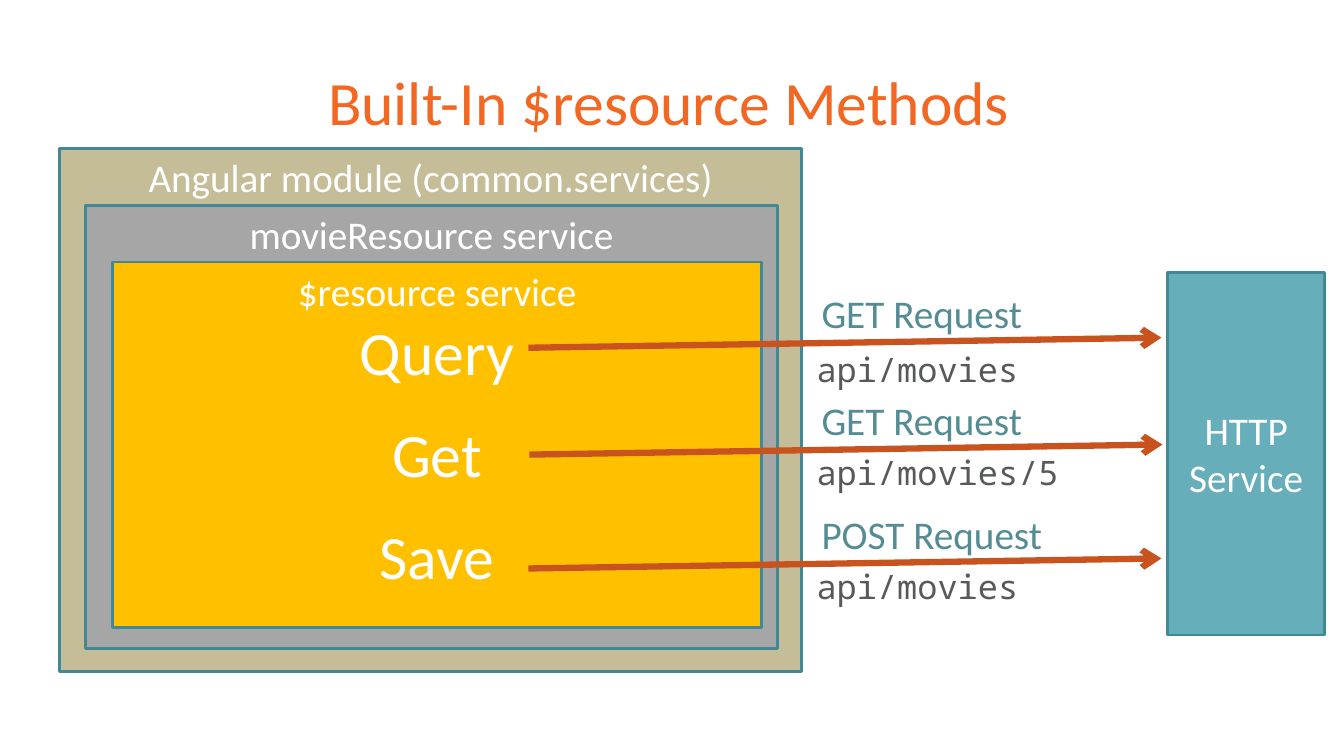
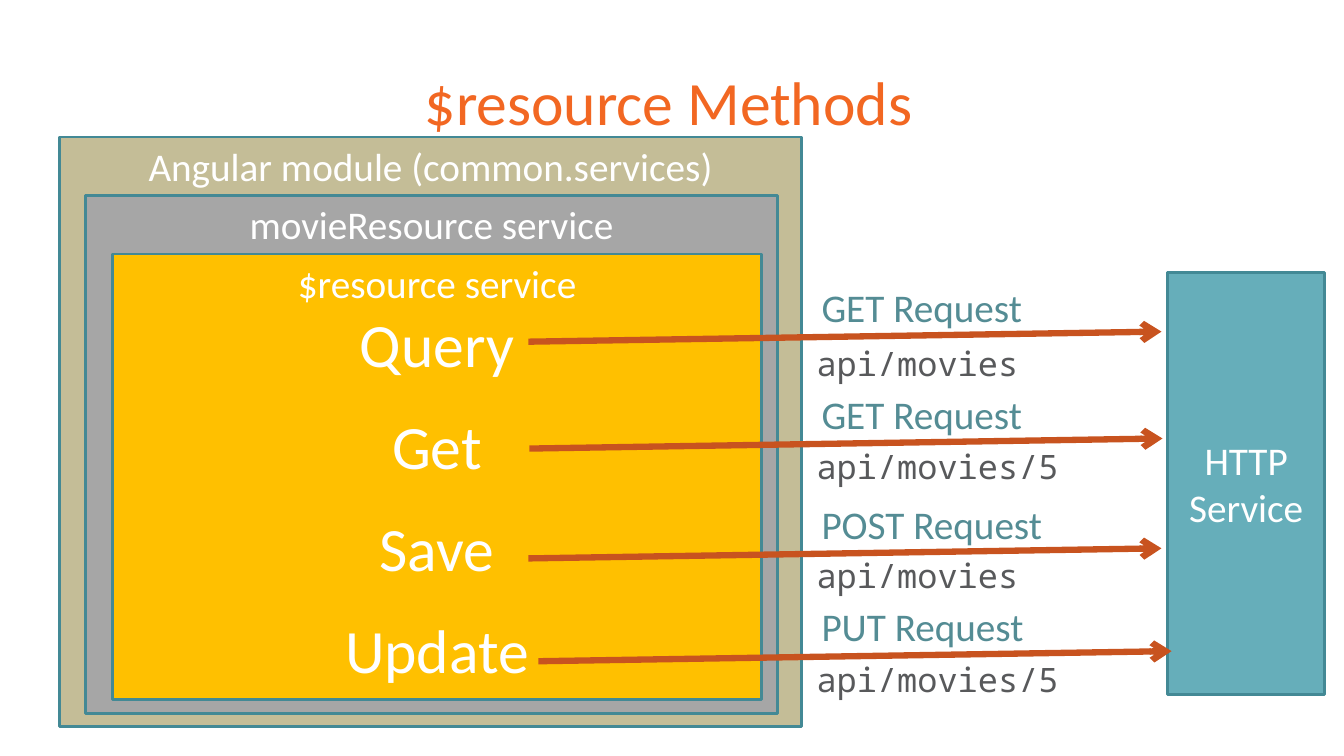
from dataclasses import dataclass

from lxml import etree
from pptx import Presentation
from pptx.dml.color import RGBColor
from pptx.enum.shapes import MSO_CONNECTOR, MSO_SHAPE
from pptx.enum.text import MSO_ANCHOR, MSO_AUTO_SIZE, PP_ALIGN
from pptx.oxml.ns import qn
from pptx.util import Inches, Pt

RECTANGLE = MSO_SHAPE.RECTANGLE
STRAIGHT = MSO_CONNECTOR.STRAIGHT
TOP, MIDDLE = MSO_ANCHOR.TOP, MSO_ANCHOR.MIDDLE
LEFT, CENTER = PP_ALIGN.LEFT, PP_ALIGN.CENTER
FIXED, GROW = MSO_AUTO_SIZE.NONE, MSO_AUTO_SIZE.SHAPE_TO_FIT_TEXT


@dataclass(frozen=True)
class Theme:
    # Colours
    title: str = "F26722"
    module: str = "C4BD97"
    service: str = "A6A6A6"
    resource: str = "FFC000"
    server: str = "66AEBA"
    border: str = "438995"
    arrow: str = "C8531F"
    request: str = "548C94"
    address: str = "58595B"
    light: str = "FFFFFF"
    # Fonts and sizes in points
    font: str = "Calibri"
    mono: str = "Noto Sans Mono"
    large: int = 44
    normal: int = 28
    small: int = 24
    method_gap: int = 20
    border_width: int = 2
    arrow_width: float = 4.5


def apply_format(target, values):
    for name, value in values.items():
        setattr(target, name, value)


class Deck:
    def __init__(self, theme):
        self.theme = theme
        self.presentation = Presentation()
        self.presentation.slide_width = Inches(13.33)
        self.presentation.slide_height = Inches(7.5)
        self.page = None

    def add_text(self, para, text, color, size, font=None, **layout):
        """Fill one paragraph with a single formatted span."""
        apply_format(para, {"alignment": CENTER, **layout})
        span = para.add_run()
        span.text = text
        apply_format(span.font, {"name": font or self.theme.font,
                                 "size": Pt(size)})
        span.font.color.rgb = RGBColor.from_string(color)

    def add_page(self, title):
        """Start a slide with its centred title."""
        layout = self.presentation.slide_layouts.get_by_name("Title Only")
        self.page = self.presentation.slides.add_slide(layout)
        box = self.page.shapes.title
        apply_format(box, {"left": Inches(0.68), "top": Inches(0.2),
                           "width": Inches(12.01), "height": Inches(1.72)})
        apply_format(box.text_frame, {
            "auto_size": FIXED, "word_wrap": True, "vertical_anchor": MIDDLE,
            "margin_left": 0, "margin_right": Inches(0.1),
            "margin_top": Inches(0.05), "margin_bottom": Inches(0.05)})
        self.add_text(box.text_frame.paragraphs[0], title, self.theme.title,
                      self.theme.large, line_spacing=0.85)

    def add_box(self, place, fill, heading, methods=(), anchor=TOP):
        """Add a bordered box with a heading and optional method names."""
        theme = self.theme
        box = self.page.shapes.add_shape(RECTANGLE, *map(Inches, place))
        box.shadow.inherit = False
        box.fill.solid()
        box.fill.fore_color.rgb = RGBColor.from_string(fill)
        box.line.color.rgb = RGBColor.from_string(theme.border)
        box.line.width = Pt(theme.border_width)
        frame = box.text_frame
        apply_format(frame, {"word_wrap": True, "vertical_anchor": anchor})
        self.add_text(frame.paragraphs[0], heading, theme.light, theme.normal)
        for method in methods:
            self.add_text(frame.add_paragraph(), method, theme.light,
                          theme.large, space_after=Pt(theme.method_gap))

    def add_label(self, place, text, color, size, font=None):
        """Add a left-aligned text box."""
        box = self.page.shapes.add_textbox(*map(Inches, place))
        apply_format(box.text_frame, {"word_wrap": True, "auto_size": GROW})
        self.add_text(box.text_frame.paragraphs[0], text, color, size, font,
                      alignment=LEFT)

    def add_arrow(self, left, top):
        """Add a slightly rising arrow towards the HTTP service."""
        ends = (left, top, left + 6.28, top - 0.1)
        arrow = self.page.shapes.add_connector(STRAIGHT, *map(Inches, ends))
        arrow.line.color.rgb = RGBColor.from_string(self.theme.arrow)
        arrow.line.width = Pt(self.theme.arrow_width)
        properties = arrow.element.spPr
        etree.SubElement(properties.find(qn("a:ln")), qn("a:tailEnd"),
                         type="arrow")
        etree.SubElement(properties, qn("a:effectLst"))

    def add_request(self, verb, address, left, top, address_top):
        """Add an arrow with the request above it and its address below."""
        theme = self.theme
        self.add_arrow(left, top)
        self.add_label((8.05, top - 0.63, 2.77, 0.57), f"{verb} Request",
                       theme.request, theme.normal)
        self.add_label((8, address_top, 3.41, 0.5), address,
                       theme.address, theme.small, theme.mono)

    def add_diagram(self, title, spans, methods, requests):
        """Build one slide; spans hold the top and height of each box."""
        theme = self.theme
        module, service, resource, server = spans
        self.add_page(title)
        # Nested boxes and the server
        self.add_box((0.59, module[0], 7.36, module[1]), theme.module,
                     "Angular module (common.services)")
        self.add_box((0.85, service[0], 6.86, service[1]), theme.service,
                     "movieResource service")
        self.add_box((11.58, server[0], 1.56, server[1]), theme.server,
                     "HTTP Service", anchor=MIDDLE)
        self.add_box((1.12, resource[0], 6.43, resource[1]), theme.resource,
                     "$resource service", methods)
        # Requests sent by the methods
        for request in requests:
            self.add_request(*request)


def main():
    deck = Deck(Theme())
    methods = ["Query", "Get", "Save"]

    # Built-in methods
    deck.add_diagram(
        "Built-In $resource Methods",
        [(1.47, 5.19), (2.04, 4.39), (2.6, 3.63), (2.7, 3.6)],
        methods,
        [("GET", "api/movies", 5.24, 3.45, 3.41),
         ("GET", "api/movies/5", 5.25, 4.51, 4.43),
         ("POST", "api/movies", 5.24, 5.64, 5.57)])

    # Methods with the added update
    deck.add_diagram(
        "$resource Methods",
        [(1.36, 5.85), (1.94, 5.14), (2.52, 4.42), (2.7, 4.19)],
        methods + ["Update"],
        [("GET", "api/movies", 5.24, 3.39, 3.35),
         ("GET", "api/movies/5", 5.25, 4.45, 4.37),
         ("POST", "api/movies", 5.24, 5.54, 5.46),
         ("PUT", "api/movies/5", 5.34, 6.56, 6.49)])

    deck.presentation.save("out.pptx")


if __name__ == "__main__":
    main()
